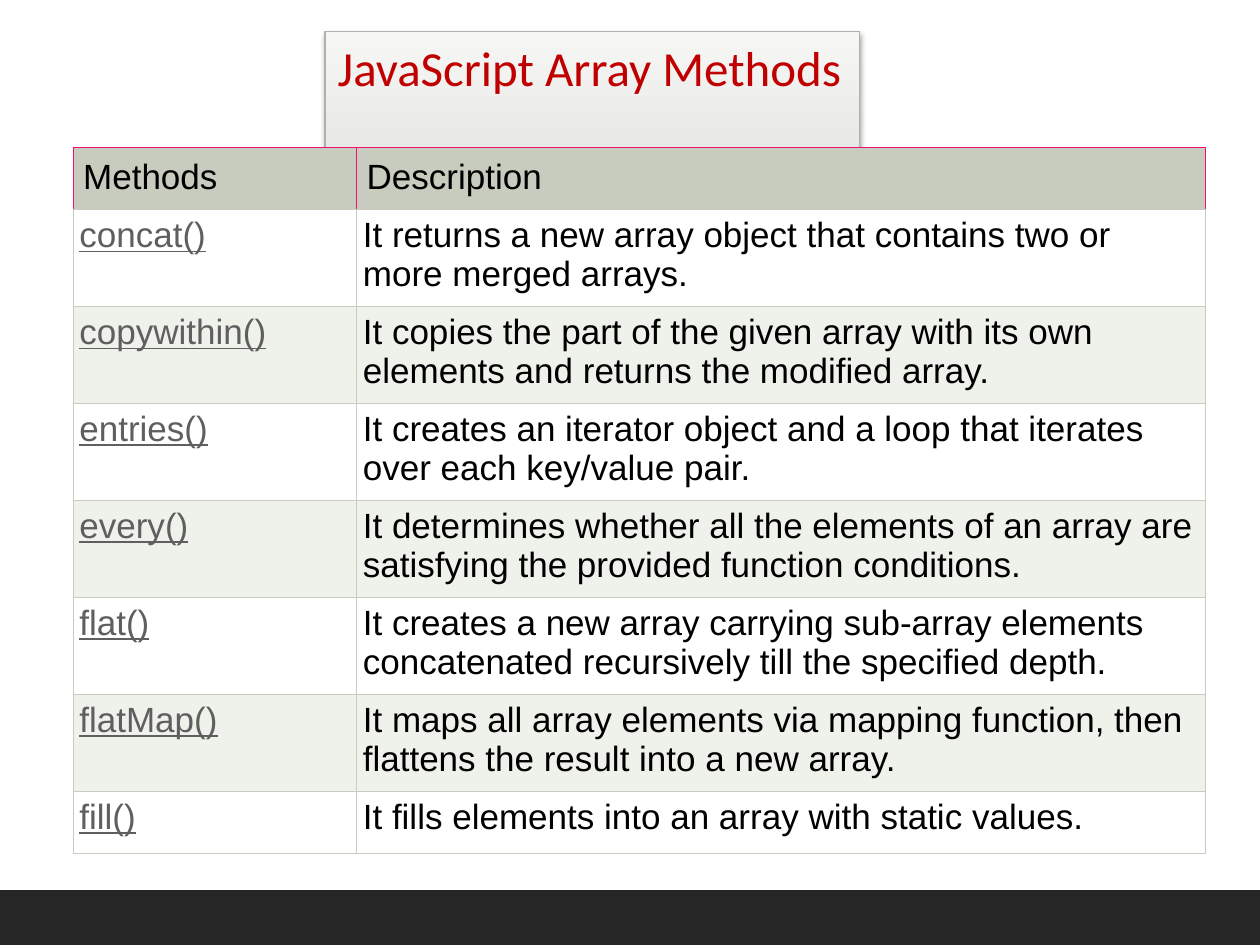
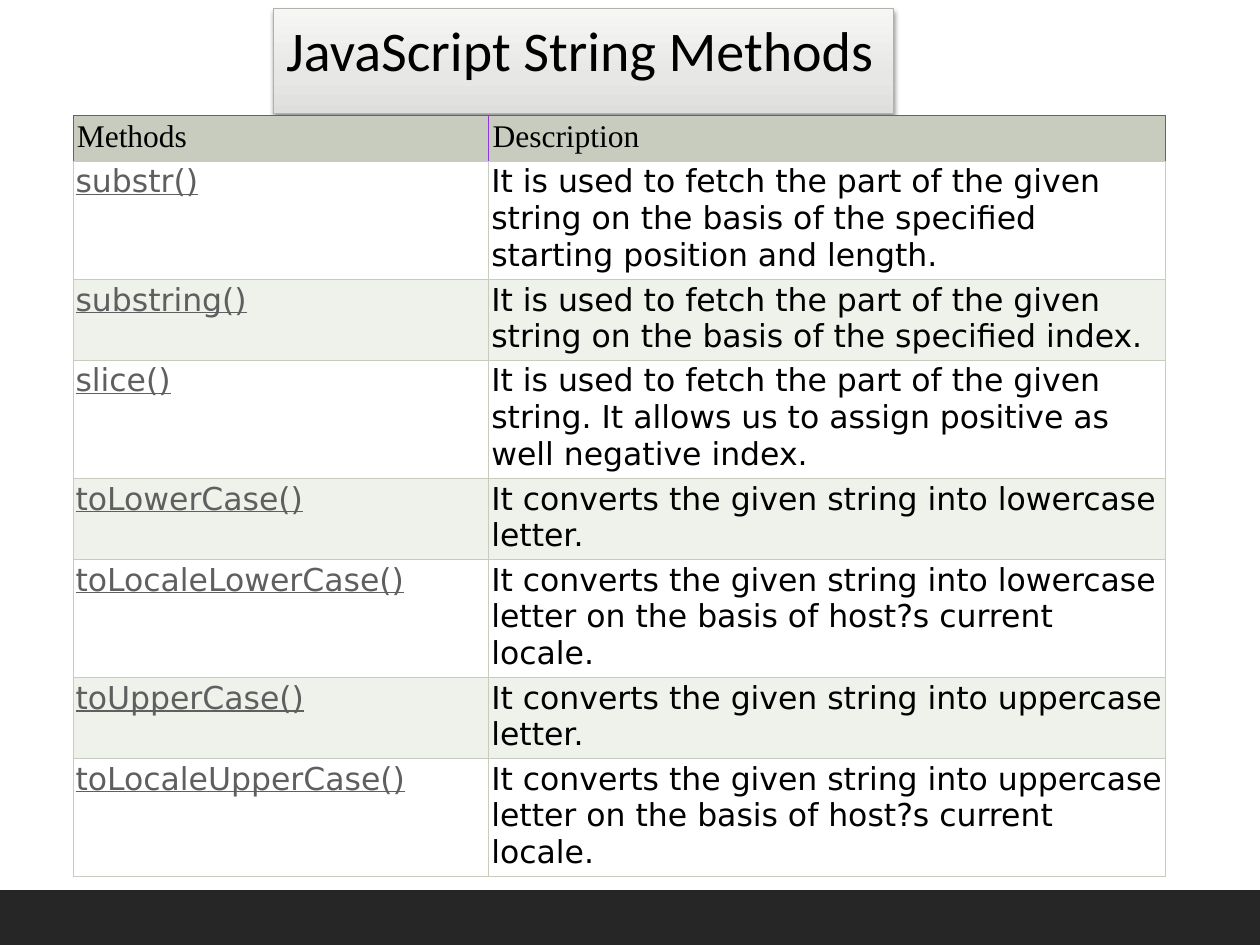
from lxml.etree import SubElement
from pptx import Presentation
from pptx.dml.color import RGBColor
from pptx.enum.shapes import MSO_SHAPE
from pptx.enum.text import MSO_ANCHOR, MSO_AUTO_SIZE, PP_ALIGN
from pptx.oxml import parse_xml
from pptx.oxml.ns import nsdecls, qn
from pptx.util import Inches, Pt

COLOURS = {
    "black": "000000", "red": "C00000", "link": "5F5F5F", "band": "262626",
    "white": "FFFFFF", "stripe": "EFF1EB", "header": "C7CCBE",
    "title line": "B0B0AF", "pink": "F0106D", "purple": "9036DE",
}
TITLE_GRADIENT = [(0, "DEDEDD"), (35, "E7E7E6"), (100, "F6F6F5")]
TABLE_LEFT = 0.58

# Each method row: name, description, number of text lines in the row
SLIDES = [
    {
        "title": "JavaScript Array Methods", "title_at": (2.58, 0.25, 4.24, 0.57),
        "title_size": 28, "title_colour": "red",
        "top": 1.17, "columns": (2.25, 6.74), "header_height": 0.49,
        "line_heights": {1: 0.49, 2: 0.77}, "header_line": "pink",
        "header_inset": 0.08, "inset": 0.05,
        "header_font": "Arial", "font": "Arial", "size": 20,
        "methods": [
            ("concat()", "It returns a new array object that contains two or more merged arrays.", 2),
            ("copywithin()", "It copies the part of the given array with its own elements and returns the modified array.", 2),
            ("entries()", "It creates an iterator object and a loop that iterates over each key/value pair.", 2),
            ("every()", "It determines whether all the elements of an array are satisfying the provided function conditions.", 2),
            ("flat()", "It creates a new array carrying sub-array elements concatenated recursively till the specified depth.", 2),
            ("flatMap()", "It maps all array elements via mapping function, then flattens the result into a new array.", 2),
            ("fill()", "It fills elements into an array with static values.", 1),
        ],
    },
    {
        "title": "JavaScript String Methods", "title_at": (2.17, 0.07, 4.92, 0.64),
        "title_size": 32, "title_colour": "black",
        "top": 0.92, "columns": (3.3, 5.37), "header_height": 0.36,
        "line_heights": {2: 0.64, 3: 0.94}, "header_line": "purple",
        "header_inset": 0.03, "inset": 0.02,
        "header_font": "Times New Roman", "font": "DejaVu Sans", "size": 18,
        "methods": [
            ("substr()", "It is used to fetch the part of the given string on the basis of the specified starting position and length.", 3),
            ("substring()", "It is used to fetch the part of the given string on the basis of the specified index.", 2),
            ("slice()", "It is used to fetch the part of the given string. It allows us to assign positive as well negative index.", 3),
            ("toLowerCase()", "It converts the given string into lowercase letter.", 2),
            ("toLocaleLowerCase()", "It converts the given string into lowercase letter on the basis of host?s current locale.", 3),
            ("toUpperCase()", "It converts the given string into uppercase letter.", 2),
            ("toLocaleUpperCase()", "It converts the given string into uppercase letter on the basis of host?s current locale.", 3),
        ],
    },
]


def rgb(name):
    return RGBColor.from_string(COLOURS[name])


def write(frame, text, font, size, colour="black", underline=False):
    para = frame.paragraphs[0]
    para.alignment = PP_ALIGN.LEFT
    span = para.add_run()
    span.text = text
    span.font.name = font
    span.font.size = Pt(size)
    span.font.color.rgb = rgb(colour)
    span.font.underline = underline


def add_title(page, content):
    box = page.shapes.title
    box.left, box.top, box.width, box.height = map(Inches, content["title_at"])
    frame = box.text_frame
    frame.word_wrap = False
    frame.auto_size = MSO_AUTO_SIZE.SHAPE_TO_FIT_TEXT
    frame.vertical_anchor = MSO_ANCHOR.TOP
    write(frame, content["title"], "Calibri", content["title_size"], content["title_colour"])

    box.fill.gradient()
    box.fill.gradient_angle = 90
    stops = box.fill._fill._gradFill.find(qn("a:gsLst"))
    stops.clear()
    for percent, colour in TITLE_GRADIENT:
        stop = SubElement(stops, qn("a:gs"), pos=str(percent * 1000))
        SubElement(stop, qn("a:srgbClr"), val=colour)
    box.line.color.rgb = rgb("title line")
    box.line.width = Pt(0.75)
    box._element.spPr.append(parse_xml(
        f'<a:effectLst {nsdecls("a")}>'
        f'<a:outerShdw blurRad="{Pt(3.1)}" dist="{Pt(1.6)}" dir="5400000" rotWithShape="0">'
        f'<a:srgbClr val="{COLOURS["black"]}"><a:alpha val="38000"/></a:srgbClr>'
        '</a:outerShdw></a:effectLst>'))


def set_borders(cell, line, bottom):
    properties = cell._tc.get_or_add_tcPr()
    sides = {"L": line, "R": line, "T": line, "B": bottom}
    for index, (side, colour) in enumerate(sides.items()):
        properties.insert(index, parse_xml(
            f'<a:ln{side} {nsdecls("a")} w="{Pt(0.75)}"><a:solidFill>'
            f'<a:srgbClr val="{COLOURS[colour]}"/></a:solidFill></a:ln{side}>'))


def fill_cell(cell, text, fill, inset, line="header", **text_format):
    cell.margin_left = cell.margin_right = Inches(inset)
    cell.margin_top = cell.margin_bottom = Inches(inset)
    cell.fill.solid()
    cell.fill.fore_color.rgb = rgb(fill)
    set_borders(cell, line, "header")
    write(cell.text_frame, text, **text_format)


def add_methods_table(page, content):
    methods, size = content["methods"], content["size"]
    heights = [content["header_height"]]
    heights += [content["line_heights"][lines] for _, _, lines in methods]
    table = page.shapes.add_table(
        len(heights), 2, Inches(TABLE_LEFT), Inches(content["top"]),
        Inches(sum(content["columns"])), Inches(sum(heights))).table
    table.first_row = table.horz_banding = False
    for column, width in zip(table.columns, content["columns"]):
        column.width = Inches(width)
    for row, height in zip(table.rows, heights):
        row.height = Inches(height)

    for column, heading in enumerate(("Methods", "Description")):
        fill_cell(table.cell(0, column), heading, "header", content["header_inset"],
                  content["header_line"], font=content["header_font"], size=size)
    for row, (name, description, _) in enumerate(methods, 1):
        shared = {"fill": "white" if row % 2 else "stripe", "inset": content["inset"],
                  "font": content["font"], "size": size}
        fill_cell(table.cell(row, 0), name, colour="link", underline=True, **shared)
        fill_cell(table.cell(row, 1), description, **shared)


def add_bottom_band(page):
    band = page.shapes.add_shape(
        MSO_SHAPE.RECTANGLE, 0, Inches(7.08), Inches(10), Inches(0.42))
    band.shadow.inherit = False
    band.fill.solid()
    band.fill.fore_color.rgb = rgb("band")
    band.line.color.rgb = rgb("band")
    band.line.width = Pt(2)


def main():
    deck = Presentation()
    deck.slide_width, deck.slide_height = Inches(10), Inches(7.5)
    title_only = deck.slide_layouts[5]
    for content in SLIDES:
        page = deck.slides.add_slide(title_only)
        add_title(page, content)
        add_methods_table(page, content)
        add_bottom_band(page)
    deck.save("out.pptx")


if __name__ == "__main__":
    main()
